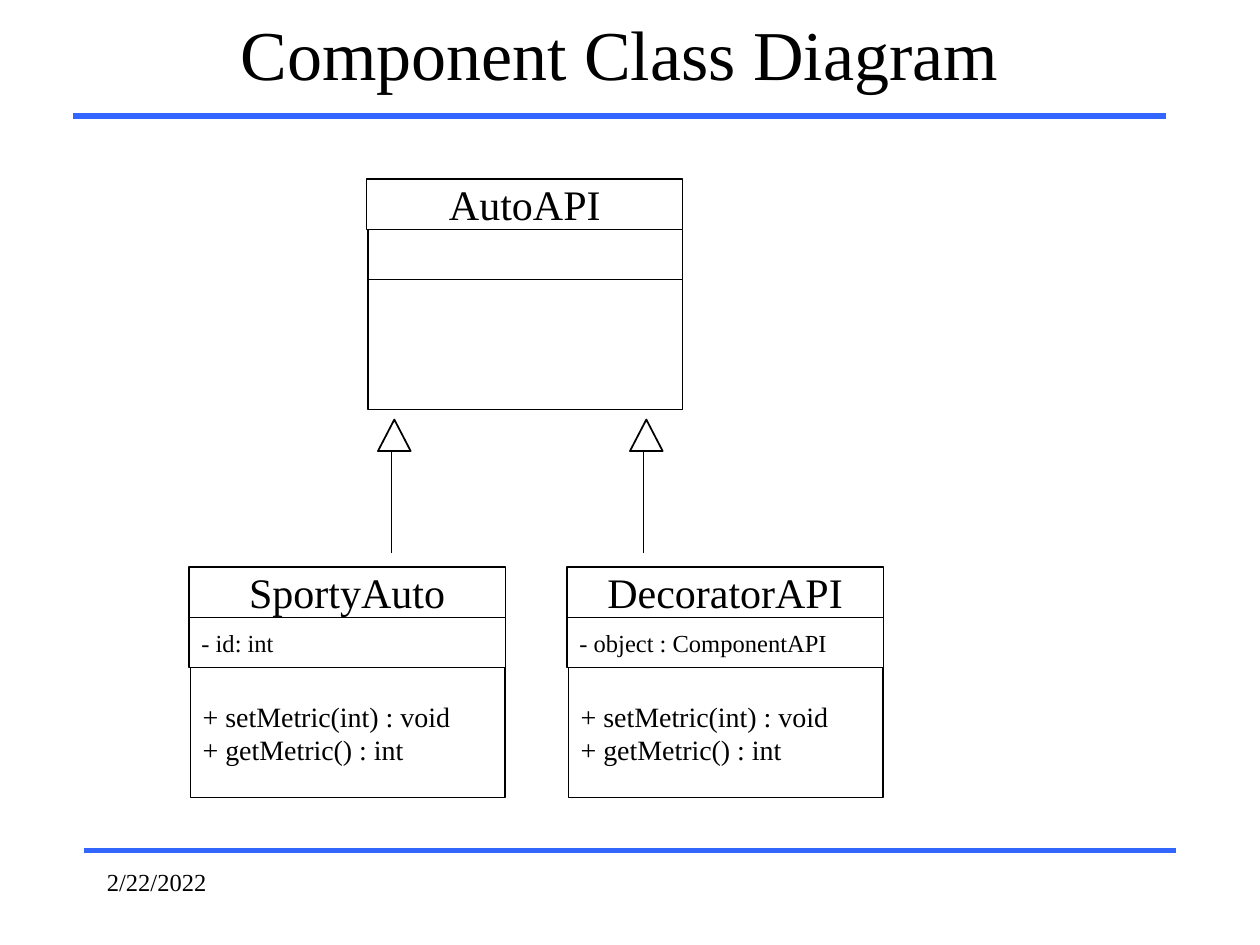
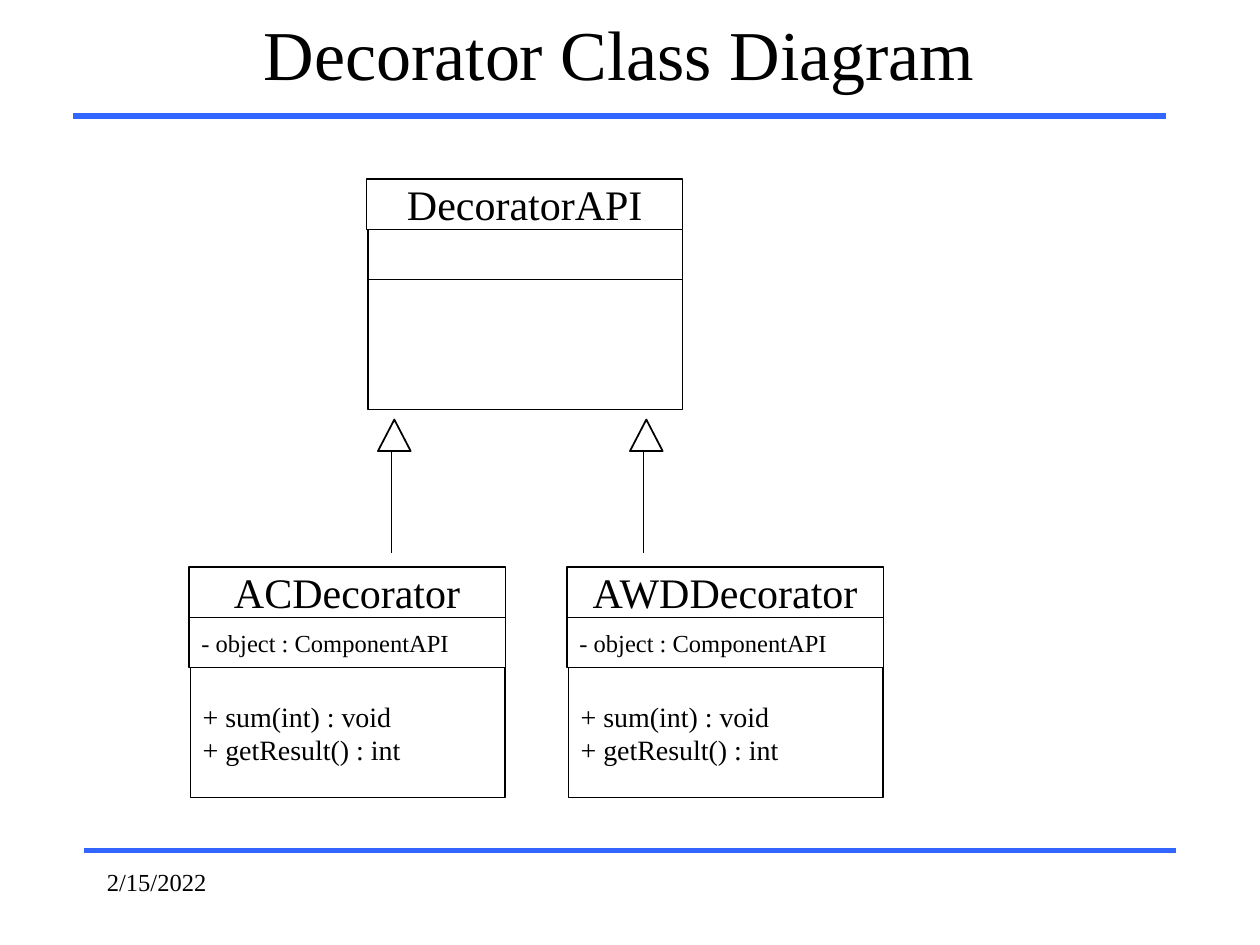
from dataclasses import dataclass

from lxml import etree
from pptx import Presentation
from pptx.dml.color import RGBColor
from pptx.enum.shapes import MSO_CONNECTOR, MSO_SHAPE
from pptx.enum.text import MSO_ANCHOR, PP_ALIGN
from pptx.oxml.ns import qn
from pptx.util import Inches, Pt

STRAIGHT = MSO_CONNECTOR.STRAIGHT
RECTANGLE = MSO_SHAPE.RECTANGLE
TRIANGLE = MSO_SHAPE.ISOSCELES_TRIANGLE
TOP, MIDDLE = MSO_ANCHOR.TOP, MSO_ANCHOR.MIDDLE
LEFT, CENTER = PP_ALIGN.LEFT, PP_ALIGN.CENTER


@dataclass(frozen=True)
class Theme:
    font: str = "Times New Roman"
    ink: RGBColor = RGBColor(0x00, 0x00, 0x00)
    paper: RGBColor = RGBColor(0xFF, 0xFF, 0xFF)
    rule: RGBColor = RGBColor(0x33, 0x66, 0xFF)
    title_size: int = 40
    class_name_size: int = 24
    operation_size: int = 16
    small_size: int = 14
    rule_width: float = 3
    box_width: float = 0.75
    arrowhead_width: float = 1
    arrow_width: float = 0.5


THEME = Theme()

# Class boxes, in inches
CLASS_WIDTH = 2.51
ROW_HEIGHT = 0.4
OPERATIONS_HEIGHT = 1.03
INSET = 0.01
PARENT_LEFT, PARENT_TOP = 2.91, 1.42
CHILD_LEFT, CHILD_TOP, CHILD_STEP = 1.5, 4.5, 3

# Inheritance arrows, in inches
ARROW_LEFT, ARROW_TOP, ARROW_STEP = 3, 3.33, 2


@dataclass(frozen=True)
class ClassBox:
    name: str
    attributes: tuple = ()
    operations: tuple = ()


def write_lines(frame, lines, size, align=LEFT, anchor=MIDDLE):
    frame.vertical_anchor = anchor
    for index, line in enumerate(lines):
        paragraph = frame.paragraphs[0] if index == 0 else frame.add_paragraph()
        paragraph.text = line
        paragraph.alignment = align
        paragraph.font.name = THEME.font
        paragraph.font.size = Pt(size)
        paragraph.font.color.rgb = THEME.ink


def add_text(slide, text, left, top, width, height, size, align, anchor):
    box = slide.shapes.add_textbox(
        Inches(left), Inches(top), Inches(width), Inches(height))
    box.text_frame.word_wrap = True
    write_lines(box.text_frame, [text], size, align, anchor)


def add_line(shapes, start, end, color, width):
    line = shapes.add_connector(STRAIGHT, *map(Inches, start + end))
    line.line.color.rgb = color
    line.line.width = Pt(width)
    etree.SubElement(line._element.spPr, qn("a:effectLst"))


def add_outline(shapes, preset, left, top, width, height, line_width):
    outline = shapes.add_shape(
        preset, Inches(left), Inches(top), Inches(width), Inches(height))
    outline.shadow.inherit = False
    outline.fill.solid()
    outline.fill.fore_color.rgb = THEME.paper
    outline.line.color.rgb = THEME.ink
    outline.line.width = Pt(line_width)
    return outline


def add_class(slide, box, left, top):
    """Stack the name, attributes and operations of one class."""
    shapes = slide.shapes.add_group_shape().shapes
    attribute_inset = 0 if box.attributes else INSET
    rows = [
        ([box.name], ROW_HEIGHT, 0, THEME.class_name_size, CENTER),
        (box.attributes, ROW_HEIGHT, attribute_inset, THEME.small_size, LEFT),
        (box.operations, OPERATIONS_HEIGHT, INSET, THEME.operation_size, LEFT),
    ]
    for lines, height, inset, size, align in rows:
        row = add_outline(shapes, RECTANGLE, left + inset, top,
                          CLASS_WIDTH - inset, height, THEME.box_width)
        row.text_frame.word_wrap = False
        write_lines(row.text_frame, lines, size, align)
        top += height


def add_inheritance_arrow(slide, left, top):
    shapes = slide.shapes.add_group_shape().shapes
    stem = left + 0.11
    add_line(shapes, (stem, top + 1.06), (stem, top + 0.14),
             THEME.ink, THEME.arrow_width)
    add_outline(shapes, TRIANGLE, left, top, 0.26, 0.25, THEME.arrowhead_width)


def add_frame(slide, title, date):
    """Add the rules, title and date that every slide carries."""
    for left, right, y in ((0.67, 9.33, 6.75), (0.58, 9.25, 0.92)):
        add_line(slide.shapes, (left, y), (right, y),
                 THEME.rule, THEME.rule_width)
    add_text(slide, title, 0.58, 0, 8.67, 0.83,
             THEME.title_size, CENTER, MIDDLE)
    add_text(slide, date, 0.75, 6.83, 2.08, 0.5,
             THEME.small_size, LEFT, TOP)


def add_diagram_slide(deck, title, date, parent, children):
    slide = deck.slides.add_slide(deck.slide_layouts[6])
    add_frame(slide, title, date)
    add_class(slide, parent, PARENT_LEFT, PARENT_TOP)
    for index, child in enumerate(children):
        add_inheritance_arrow(slide, ARROW_LEFT + index * ARROW_STEP, ARROW_TOP)
        add_class(slide, child, CHILD_LEFT + index * CHILD_STEP, CHILD_TOP)


def main():
    deck = Presentation()
    deck.slide_width, deck.slide_height = Inches(10), Inches(7.5)

    component = ("- object : ComponentAPI",)
    metric = ("+ setMetric(int) : void", "+ getMetric() : int")
    result = ("+ sum(int) : void", "+ getResult() : int")

    # Component classes
    add_diagram_slide(
        deck, "Component Class Diagram", "2/22/2022", ClassBox("AutoAPI"),
        [ClassBox("SportyAuto", ("- id: int",), metric),
         ClassBox("DecoratorAPI", component, metric)])

    # Decorator classes
    add_diagram_slide(
        deck, "Decorator Class Diagram", "2/15/2022", ClassBox("DecoratorAPI"),
        [ClassBox(name, component, result)
         for name in ("ACDecorator", "AWDDecorator")])

    deck.save("out.pptx")


if __name__ == "__main__":
    main()
